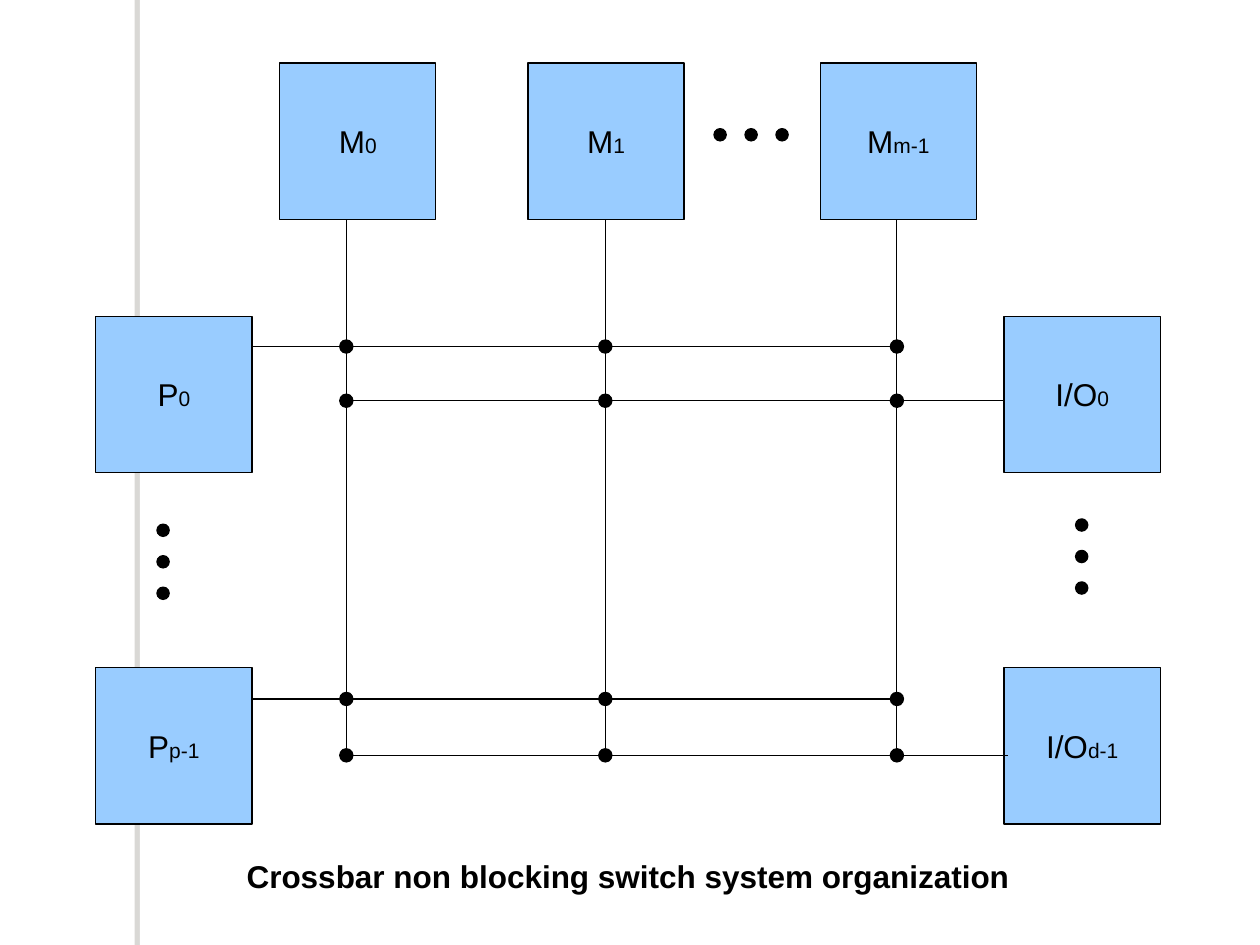
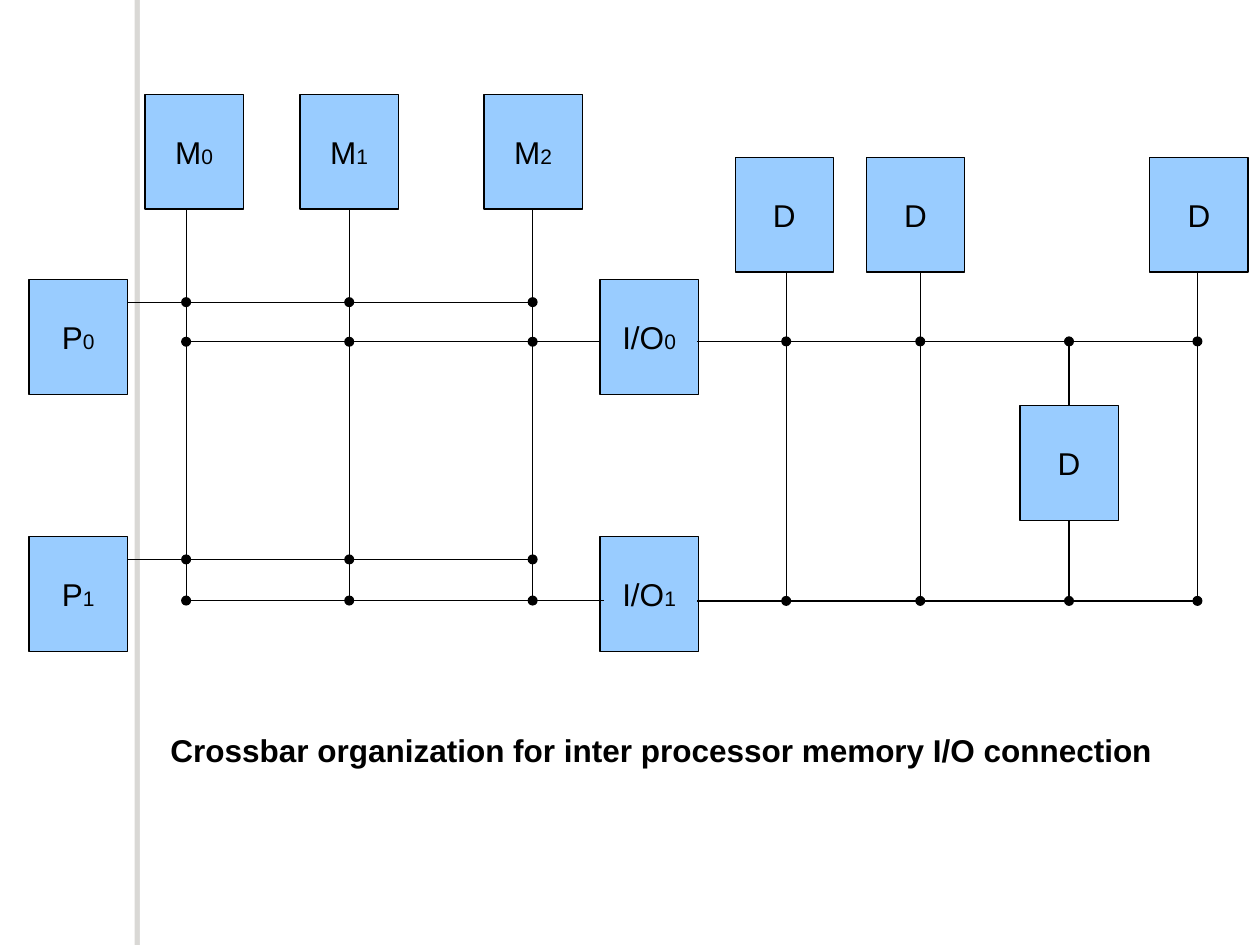
import pptx
import pptx.dml.color
import pptx.enum.shapes
import pptx.enum.text
import pptx.oxml
import pptx.oxml.ns
import pptx.util

Pt = pptx.util.Pt
SHAPE = pptx.enum.shapes.MSO_SHAPE
NAMESPACE = pptx.oxml.ns.nsdecls("a")

INK, BOX_FILL, WHITE, BAND_SHADOW = "000000", "99CCFF", "FFFFFF", "706B5F"
FONT = {"name": "Arial", "size": Pt(18)}
SUBSCRIPT = {"name": "Arial", "size": Pt(12)}
CAPTION = {**FONT, "bold": True}
LINE_WIDTH = 0.75


def rgb(value):
    return pptx.dml.color.RGBColor.from_string(value)


def add_run(paragraph, text, font_format):
    run = paragraph.add_run()
    run.text = text
    for name, value in font_format.items():
        setattr(run.font, name, value)
    run.font.color.rgb = rgb(INK)


def add_preset(slide, kind, left, top, width, height, fill, outlined=True):
    shape = slide.shapes.add_shape(kind, Pt(left), Pt(top), Pt(width), Pt(height))
    shape.shadow.inherit = False
    shape.fill.solid()
    shape.fill.fore_color.rgb = rgb(fill)
    if outlined:
        shape.line.color.rgb = rgb(INK)
        shape.line.width = Pt(LINE_WIDTH)
    else:
        shape.line.fill.background()
    return shape


def add_unit(slide, left, top, size, label, index=""):
    """A square unit with its letter and a smaller index."""
    shape = add_preset(slide, SHAPE.RECTANGLE, left, top, *size, BOX_FILL)
    frame = shape.text_frame
    frame.word_wrap = False
    frame.vertical_anchor = pptx.enum.text.MSO_ANCHOR.MIDDLE
    paragraph = frame.paragraphs[0]
    paragraph.alignment = pptx.enum.text.PP_ALIGN.CENTER
    add_run(paragraph, label, FONT)
    if index:
        add_run(paragraph, index, SUBSCRIPT)


def add_dot(slide, x, y, diameter):
    add_preset(slide, SHAPE.OVAL, x - diameter / 2, y - diameter / 2,
               diameter, diameter, INK)


def add_wire(slide, x1, y1, x2, y2):
    wire = slide.shapes.add_connector(
        pptx.enum.shapes.MSO_CONNECTOR.STRAIGHT, Pt(x1), Pt(y1), Pt(x2), Pt(y2))
    wire.line.color.rgb = rgb(INK)
    wire.line.width = Pt(LINE_WIDTH)
    wire._element.spPr.append(pptx.oxml.parse_xml(f"<a:effectLst {NAMESPACE}/>"))


def add_band(slide):
    """White vertical band casting a soft grey edge to its left."""
    band = add_preset(slide, SHAPE.RECTANGLE, 80, 0, 5.5, 540, WHITE, outlined=False)
    effects = band._element.spPr.find(pptx.oxml.ns.qn("a:effectLst"))
    effects.append(pptx.oxml.parse_xml(
        f'<a:outerShdw {NAMESPACE} blurRad="0" dist="{Pt(3)}" dir="10800000" '
        f'algn="ctr" rotWithShape="0"><a:srgbClr val="{BAND_SHADOW}">'
        f'<a:alpha val="25000"/></a:srgbClr></a:outerShdw>'))


def add_caption(slide, left, top, width, text):
    box = slide.shapes.add_textbox(Pt(left), Pt(top), Pt(width), Pt(28.8))
    box.text_frame.word_wrap = True
    paragraph = box.text_frame.paragraphs[0]
    paragraph.alignment = pptx.enum.text.PP_ALIGN.CENTER
    add_run(paragraph, text, CAPTION)


def add_ellipsis(slide, x, y, step_x=0, step_y=0):
    for step in range(3):
        add_dot(slide, x + step * step_x, y + step * step_y, 7)


def add_crossbar(slide, left, top, plan):
    """Memories on top, processors on the left, I/O units on the right."""
    width, height = size = plan["size"]
    columns = [left + x for x in plan["columns"]]
    rows = [top + y for y in plan["rows"]]
    io_left = left + plan["io_left"]

    # Processor rows and the first I/O row run behind the units
    for y in rows[0::2]:
        add_wire(slide, left + width, y, columns[-1], y)
    add_wire(slide, columns[0], rows[1], io_left, rows[1])

    # Units
    for x, index in zip(plan["memory_lefts"], plan["memories"]):
        add_unit(slide, left + x, top, size, "M", index)
    for y, processor, io_unit in zip(plan["side_tops"], plan["processors"], plan["io_units"]):
        add_unit(slide, left, top + y, size, "P", processor)
        add_unit(slide, io_left, top + y, size, "I/O", io_unit)

    # The last I/O row reaches a little into its unit
    add_wire(slide, columns[0], rows[-1], io_left + 2.5, rows[-1])

    # Memory columns and crosspoints
    for x in columns:
        add_wire(slide, x, top + height, x, rows[-1])
        for y in rows:
            add_dot(slide, x, y, plan["dot"])


def add_device_bus(slide, left, top, size, dot):
    """Two I/O rows with devices above them and one device between them."""
    rows = top + 105.1, top + 253.4
    hanging_column = left + 212.4
    devices = {21.6: 50.8, 96.5: 127.4, 258.5: 285.8}  # device left: column

    for y in rows:
        add_wire(slide, left, y, left + 288, y)
    for device_left, column in devices.items():
        add_wire(slide, left + column, top + size[1], left + column, rows[1])
        add_unit(slide, left + device_left, top, size, "D")
    add_wire(slide, hanging_column, rows[0], hanging_column, rows[1])
    add_unit(slide, left + 184.3, top + 141.8, size, "D")

    for x in [left + column for column in devices.values()] + [hanging_column]:
        for y in rows:
            add_dot(slide, x, y, dot)


GENERAL_CROSSBAR = {
    "size": (89.3, 89.3), "dot": 7.5, "io_left": 519.1,
    "memories": ("0", "1", "m-1"), "memory_lefts": (105.1, 247, 414),
    "processors": ("0", "p-1"), "io_units": ("0", "d-1"), "side_tops": (144.7, 345.6),
    "columns": (143.2, 291.2, 457.8), "rows": (162, 193, 363.4, 395.6),
}
SMALL_CROSSBAR = {
    "size": (56.2, 65.5), "dot": 5, "io_left": 326.2,
    "memories": ("0", "1", "2"), "memory_lefts": (66.2, 154.8, 259.9),
    "processors": ("0", "1"), "io_units": ("0", "1"), "side_tops": (105.8, 252.7),
    "columns": (89.8, 183, 287.8), "rows": (118.7, 141.3, 265.7, 289.2),
}


def add_slide(presentation):
    slide = presentation.slides.add_slide(presentation.slide_layouts[6])
    add_band(slide)
    return slide


def build_general_slide(presentation):
    slide = add_slide(presentation)
    add_crossbar(slide, 54.7, 36, GENERAL_CROSSBAR)
    add_ellipsis(slide, 411.5, 77, step_x=17.7)
    add_ellipsis(slide, 93.2, 303, step_y=18)
    add_ellipsis(slide, 618.1, 300, step_y=18)
    add_caption(slide, 61.9, 486, 594, "Crossbar non blocking switch system organization")


def build_connection_slide(presentation):
    slide = add_slide(presentation)
    add_crossbar(slide, 16.6, 54, SMALL_CROSSBAR)
    add_device_bus(slide, 398.5, 90, SMALL_CROSSBAR["size"], SMALL_CROSSBAR["dot"])
    add_caption(slide, 36, 414, 684,
                "Crossbar organization for inter processor memory I/O connection")


def main():
    presentation = pptx.Presentation()
    presentation.slide_width, presentation.slide_height = Pt(720), Pt(540)
    build_general_slide(presentation)
    build_connection_slide(presentation)
    presentation.save("out.pptx")


if __name__ == "__main__":
    main()
